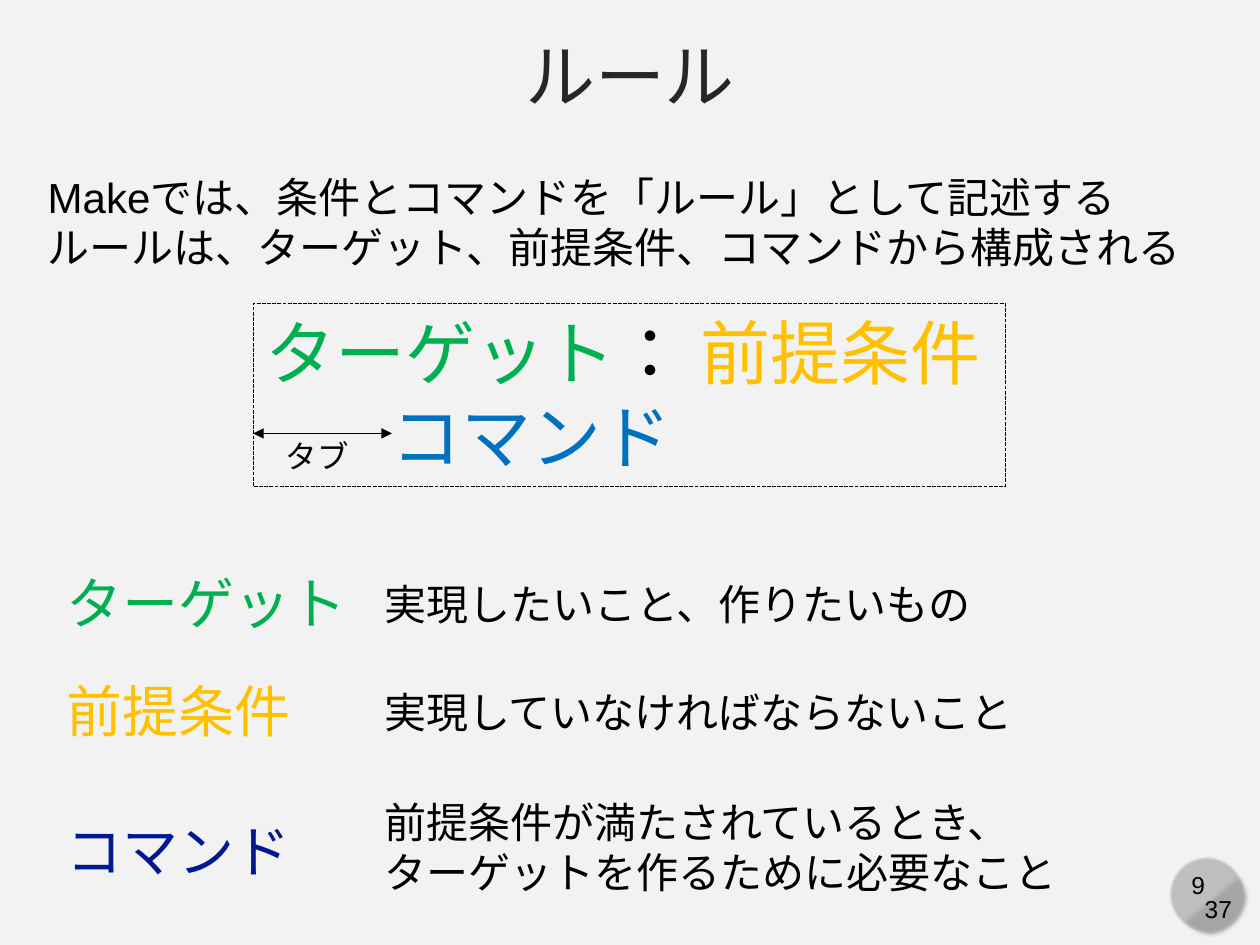
from lxml import etree
from pptx import Presentation
from pptx.dml.color import RGBColor
from pptx.enum.dml import MSO_LINE
from pptx.enum.lang import MSO_LANGUAGE_ID
from pptx.enum.shapes import MSO_CONNECTOR, MSO_SHAPE
from pptx.enum.text import MSO_ANCHOR, PP_ALIGN
from pptx.oxml.ns import qn
from pptx.util import Inches, Pt

RECTANGLE, OVAL, CHORD = MSO_SHAPE.RECTANGLE, MSO_SHAPE.OVAL, MSO_SHAPE.CHORD
STRAIGHT = MSO_CONNECTOR.STRAIGHT
LEFT, CENTER = PP_ALIGN.LEFT, PP_ALIGN.CENTER
TOP = MSO_ANCHOR.TOP
DASHED = MSO_LINE.SQUARE_DOT
JAPANESE = MSO_LANGUAGE_ID.JAPANESE

FONT = "Arial"
COLORS = {
    "background": "F2F2F2",
    "title": "262626",
    "text": "000000",
    "target": "00B050",
    "prerequisite": "FFC000",
    "command": "0070C0",
    "command_term": "011893",
    "badge": "BFBFBF",
    "badge_rim": "D9D9D9",
    "badge_shade": "A6A6A6",
}


def rgb(name):
    return RGBColor.from_string(COLORS[name])


def write(frame, lines, size, align=LEFT, wrap=False, tab=None):
    """Fill a frame; each line is a list of (text, colour name) runs."""
    frame.word_wrap = wrap
    frame.vertical_anchor = TOP
    for index, line in enumerate(lines):
        paragraph = frame.add_paragraph() if index else frame.paragraphs[0]
        paragraph.alignment = align
        if tab:
            stops = etree.SubElement(paragraph._p.get_or_add_pPr(), qn("a:tabLst"))
            etree.SubElement(stops, qn("a:tab"), pos=str(Inches(tab)), algn="l")
        for text, color in line:
            run = paragraph.add_run()
            run.text = text
            run.font.name = FONT
            run.font.size = Pt(size)
            run.font.color.rgb = rgb(color)
            run.font.language_id = JAPANESE


def add_text(slide, box, lines, size, color="text", **layout):
    frame = slide.shapes.add_textbox(*map(Inches, box)).text_frame
    write(frame, [[(line, color)] for line in lines], size, **layout)


def add_plain_shape(slide, kind, box, fill=None, line=None, width=1):
    shape = slide.shapes.add_shape(kind, *map(Inches, box))
    shape.shadow.inherit = False
    if fill:
        shape.fill.solid()
        shape.fill.fore_color.rgb = rgb(fill)
    else:
        shape.fill.background()
    if line:
        shape.line.color.rgb = rgb(line)
        shape.line.width = Pt(width)
    else:
        shape.line.fill.background()
    return shape


def add_double_arrow(slide, left, right, y):
    arrow = slide.shapes.add_connector(
        STRAIGHT, Inches(left), Inches(y), Inches(right), Inches(y))
    arrow.line.color.rgb = rgb("text")
    arrow.line.width = Pt(0.5)
    outline = arrow.line._get_or_add_ln()
    for end in ("a:headEnd", "a:tailEnd"):
        etree.SubElement(outline, qn(end), type="triangle")
    etree.SubElement(arrow._element.spPr, qn("a:effectLst"))


def add_page_badge(slide, left, top, page, total):
    add_plain_shape(slide, OVAL, (left, top, 0.58, 0.58), "badge", "badge_rim")
    add_text(slide, (left, top + 0.05, 0.44, 0.34), [page], 14, align=CENTER)
    shade = add_plain_shape(slide, CHORD, (left, top, 0.64, 0.63), "badge_shade")
    shade.adjustments[0] = 27
    shade.adjustments[1] = 141.42
    shade.rotation = 270
    effects = shade._element.spPr.find(qn("a:effectLst"))
    etree.SubElement(effects, qn("a:softEdge"), rad=str(Pt(2.5)))
    add_text(slide, (left + 0.11, top + 0.24, 0.54, 0.34), [total], 14,
             align=CENTER, wrap=True)


def add_rule_syntax(slide, left, top, width, height):
    frame_box = add_plain_shape(slide, RECTANGLE, (left, top, width, height),
                                line="text", width=0.75)
    frame_box.line.dash_style = DASHED
    write(frame_box.text_frame, [
        [("ターゲット", "target"), ("： ", "text"), ("前提条件", "prerequisite")],
        [("\t", "text"), ("コマンド", "command")],
    ], 40, tab=1)
    add_double_arrow(slide, left, left + 1.1, top + 1.03)
    add_text(slide, (left + 0.16, top + 1.01, 0.71, 0.4), ["タブ"], 18)


def add_definitions(slide, term_left, meaning_left):
    rows = [
        ("ターゲット", "target", (4.46, 2.45), (4.54, 4.91, 0.5),
         ["実現したいこと、作りたいもの"]),
        ("前提条件", "prerequisite", (5.32, 2), (5.4, 5.25, 0.5),
         ["実現していなければならないこと"]),
        ("コマンド", "command_term", (6.43, 2), (6.27, 5.59, 0.91),
         ["前提条件が満たされているとき、", "ターゲットを作るために必要なこと"]),
    ]
    for term, color, term_box, meaning_box, meaning in rows:
        add_text(slide, (term_left, *term_box, 0.64), [term], 32, color)
        add_text(slide, (meaning_left, *meaning_box), meaning, 24)


def main():
    prs = Presentation()
    prs.slide_width, prs.slide_height = Inches(10), Inches(7.5)
    slide = prs.slides.add_slide(prs.slide_layouts[6])
    slide.background.fill.solid()
    slide.background.fill.fore_color.rgb = rgb("background")

    add_page_badge(slide, 9.29, 6.81, "9", "37")
    add_text(slide, (0, 0.21, 10, 0.82), ["ルール"], 40, "title",
             align=CENTER, wrap=True)
    add_text(slide, (0.28, 1.31, 9.29, 0.91), [
        "Makeでは、条件とコマンドを「ルール」として記述する",
        "ルールは、ターゲット、前提条件、コマンドから構成される",
    ], 24)
    add_rule_syntax(slide, 2.01, 2.41, 5.97, 1.45)
    add_definitions(slide, 0.43, 2.95)
    prs.save("out.pptx")


if __name__ == "__main__":
    main()
